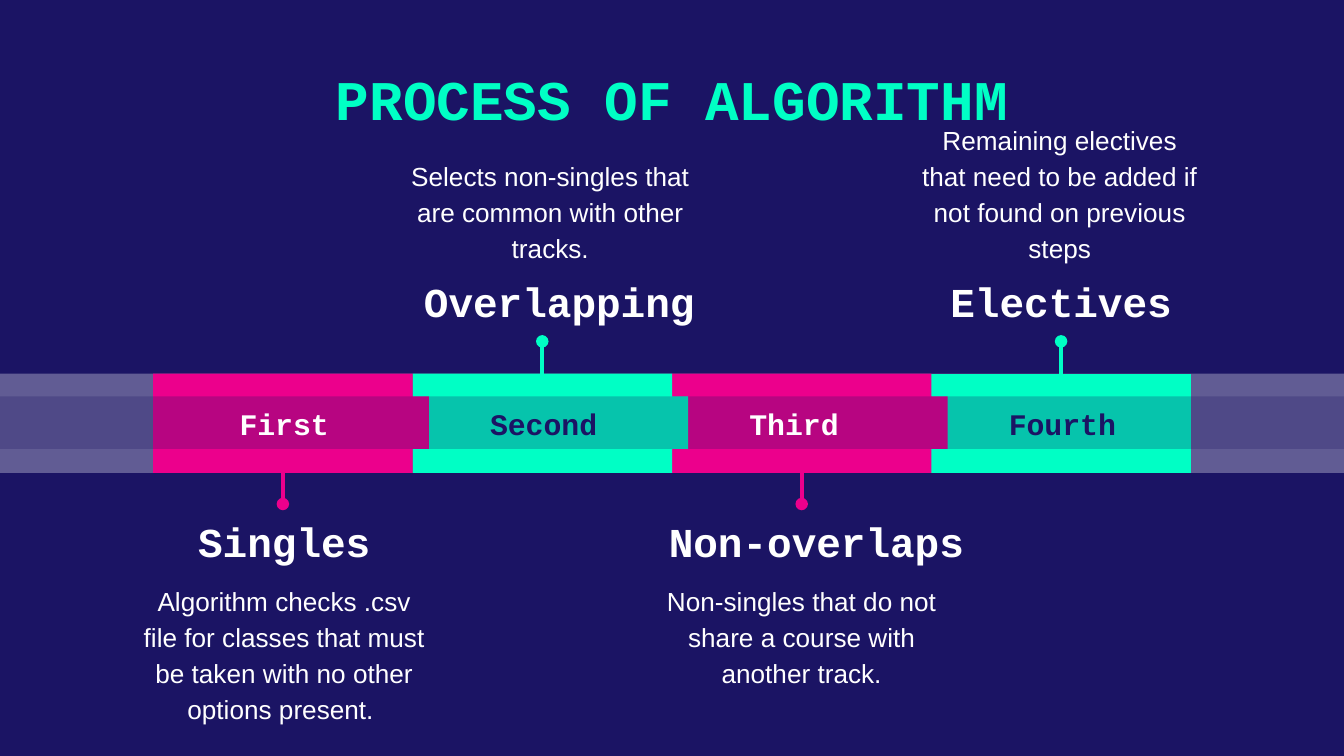
from dataclasses import dataclass

from pptx import Presentation
from pptx.dml.color import RGBColor
from pptx.enum.shapes import MSO_CONNECTOR, MSO_SHAPE
from pptx.enum.text import MSO_ANCHOR, PP_ALIGN
from pptx.oxml.ns import qn
from pptx.slide import Slide
from pptx.util import Inches, Pt
from lxml.etree import SubElement

NAVY = RGBColor(0x1B, 0x14, 0x64)
MINT = RGBColor(0x00, 0xFF, 0xC5)
PINK = RGBColor(0xEC, 0x00, 0x8C)
WHITE = RGBColor(0xFF, 0xFF, 0xFF)

WIDTH = 10
HEIGHT = WIDTH * 9 / 16
START, END = 1.14, 8.86
BAND_TOP, BAND_BOTTOM = 2.78, 3.52
TAB_TOP, TAB_BOTTOM, TAB = 2.95, 3.34, 0.12

TITLE = {"name": "Courier New", "size": Pt(30), "bold": True}
HEADING = {"name": "Courier New", "size": Pt(22), "bold": True}
LABEL = {"name": "Courier New", "size": Pt(16), "bold": True}
BODY = {"name": "Arial", "size": Pt(14), "bold": False}


@dataclass(frozen=True)
class Step:
    label: str
    heading: str
    body: str
    heading_x: float
    heading_width: float
    body_x: float
    body_width: float
    above: bool


STEPS = (
    Step("First", "Singles",
         "Algorithm checks .csv file for classes that must be taken with no other options present. ",
         0.96, 2.31, 0.96, 2.31, False),
    Step("Second", " Overlapping",
         "Selects non-singles that are common with other tracks.",
         2.76, 2.62, 2.83, 2.53, True),
    Step("Third ", "Non-overlaps",
         "Non-singles that do not share a course with another track.",
         4.81, 2.53, 4.81, 2.31, False),
    Step("Fourth", "Electives",
         "Remaining electives that need to be added if not found on previous steps",
         6.74, 2.31, 6.73, 2.31, True),
)
PITCH = (END - START) / len(STEPS)


def paint(sp, color: RGBColor, alpha: int = 100) -> None:
    sp.shadow.inherit = False
    sp.fill.solid()
    sp.fill.fore_color.rgb = color
    sp.line.fill.background()
    if alpha < 100:
        clr = sp.fill._xPr.find(f".//{qn('a:srgbClr')}")
        SubElement(clr, qn("a:alpha"), val=str(alpha * 1000))


def add_band(s: Slide, top: float, bottom: float, color: RGBColor, alpha: int) -> None:
    box = map(Inches, (0, top, WIDTH, bottom - top))
    paint(s.shapes.add_shape(MSO_SHAPE.RECTANGLE, *box), color, alpha)


def add_block(s: Slide, left: float, color: RGBColor, tab: bool) -> None:
    right = left + PITCH
    points = [(left, BAND_TOP), (left, BAND_BOTTOM), (right, BAND_BOTTOM)]
    if tab:
        points += [(right, TAB_BOTTOM), (right + TAB, TAB_BOTTOM),
                   (right + TAB, TAB_TOP), (right, TAB_TOP)]
    points.append((right, BAND_TOP))
    first, *rest = [(Inches(x), Inches(y)) for x, y in points]
    fb = s.shapes.build_freeform(*first)
    fb.add_line_segments(rest, close=True)
    paint(fb.convert_to_shape(), color)


def add_text(s: Slide, text: str, box: tuple[float, float, float, float], style: dict,
             color: RGBColor, inset: float = 0, anchor: MSO_ANCHOR = MSO_ANCHOR.TOP,
             spacing: float = 1.0) -> None:
    tf = s.shapes.add_textbox(*map(Inches, box)).text_frame
    frame = {"word_wrap": True, "vertical_anchor": anchor,
             "margin_top": Inches(inset), "margin_bottom": Inches(inset)}
    for key, value in frame.items():
        setattr(tf, key, value)
    p = tf.paragraphs[0]
    p.alignment = PP_ALIGN.CENTER
    p.line_spacing = spacing
    r = p.add_run()
    r.text = text
    for key, value in style.items():
        setattr(r.font, key, value)
    r.font.color.rgb = color


def add_pin(s: Slide, x: float, y_dot: float, y_band: float, color: RGBColor) -> None:
    pin = s.shapes.add_connector(MSO_CONNECTOR.STRAIGHT, *map(Inches, (x, y_dot, x, y_band)))
    pin.line.color.rgb = color
    pin.line.width = Pt(2.25)
    SubElement(pin.line._get_or_add_ln(), qn("a:headEnd"), type="oval")
    SubElement(pin._element.spPr, qn("a:effectLst"))


def add_step(s: Slide, i: int, step: Step) -> None:
    color = MINT if step.above else PINK
    heading_y, body_y = (2.06, 1.4) if step.above else (3.84, 4.32)
    dot, edge = (2.54, 2.79) if step.above else (3.75, 3.5)
    anchor = MSO_ANCHOR.BOTTOM if step.above else MSO_ANCHOR.TOP
    add_text(s, step.heading, (step.heading_x, heading_y, step.heading_width, 0.39), HEADING, WHITE)
    add_text(s, step.body, (step.body_x, body_y, step.body_width, 0.56), BODY, WHITE,
             anchor=anchor, spacing=1.15)
    add_text(s, step.label, (1.26 + i * PITCH, 2.92, 1.71, 0.39), LABEL,
             NAVY if step.above else WHITE, inset=0.1)
    add_pin(s, START + (i + 0.5) * PITCH, dot, edge, color)


def main() -> None:
    """Build the four-step algorithm timeline slide."""
    prs = Presentation()
    prs.slide_width, prs.slide_height = Inches(WIDTH), Inches(HEIGHT)
    s = prs.slides.add_slide(prs.slide_layouts[6])
    s.background.fill.solid()
    s.background.fill.fore_color.rgb = NAVY

    add_band(s, BAND_TOP, BAND_BOTTOM, WHITE, 31)
    for i, step in reversed(list(enumerate(STEPS))):
        add_block(s, START + i * PITCH, MINT if step.above else PINK, i < len(STEPS) - 1)
    add_band(s, TAB_TOP, TAB_BOTTOM, NAVY, 25)

    add_text(s, "PROCESS OF ALGORITHM", (1.4, 0.38, 7.2, 0.73), TITLE, MINT, inset=0.1)
    for i, step in enumerate(STEPS):
        add_step(s, i, step)
    prs.save("out.pptx")


if __name__ == "__main__":
    main()
